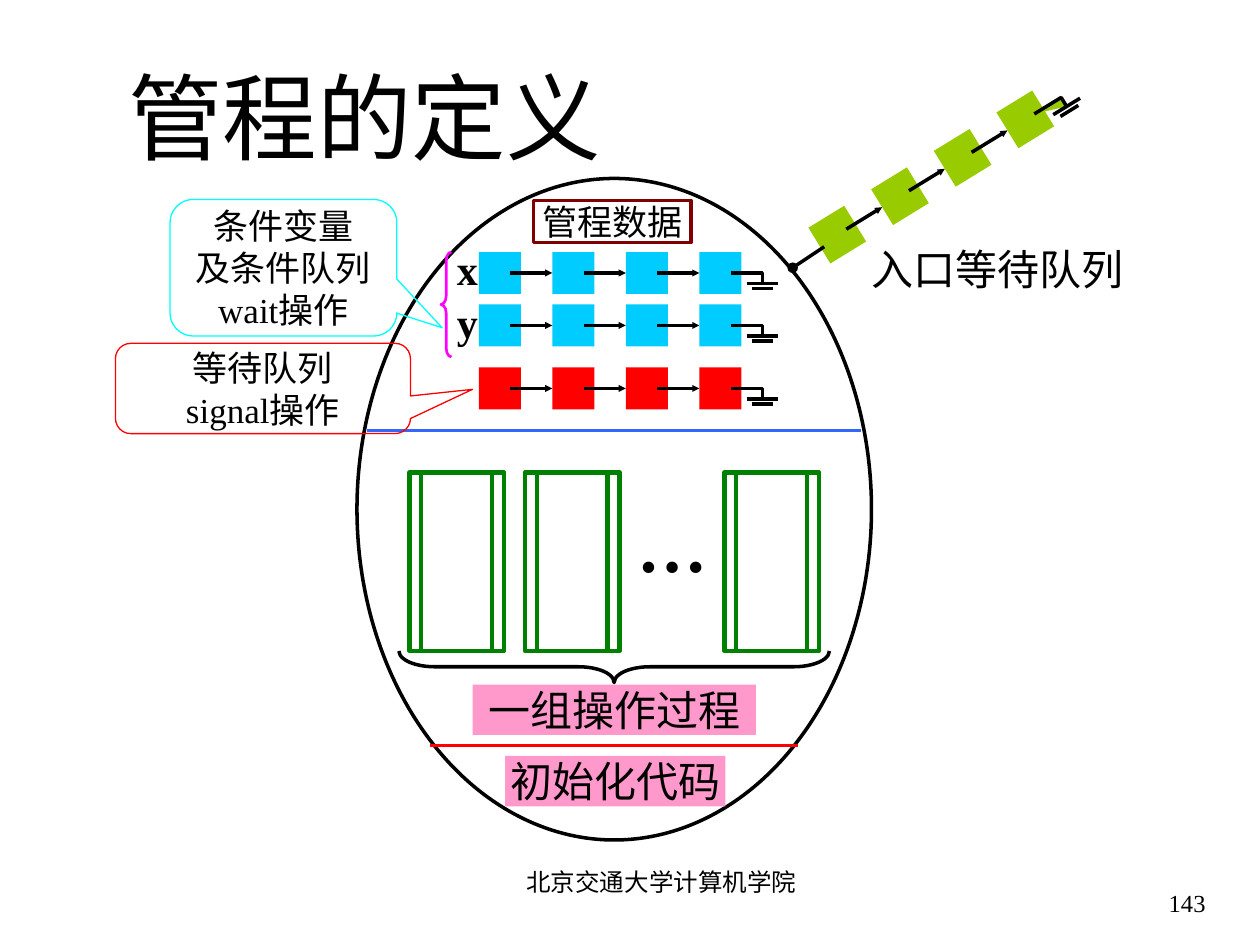
from math import cos, radians, sin

from lxml import etree
from pptx import Presentation
from pptx.dml.color import RGBColor
from pptx.enum.shapes import MSO_CONNECTOR, MSO_SHAPE
from pptx.enum.text import MSO_ANCHOR, PP_ALIGN
from pptx.oxml.ns import qn
from pptx.util import Inches, Pt

# Grid: 120 columns by 90 rows on a 10 x 7.5 inch slide
UNIT = Inches(10) / 120

BLACK = RGBColor(0x00, 0x00, 0x00)
RED = RGBColor(0xFF, 0x00, 0x00)
BLUE = RGBColor(0x33, 0x66, 0xFF)
SKY = RGBColor(0x00, 0xCC, 0xFF)
CYAN = RGBColor(0x00, 0xFF, 0xFF)
GREEN = RGBColor(0x00, 0x80, 0x00)
LIME = RGBColor(0x99, 0xCC, 0x00)
PINK = RGBColor(0xFF, 0x99, 0xCC)
MAGENTA = RGBColor(0xFF, 0x00, 0xFF)
MAROON = RGBColor(0x80, 0x00, 0x00)

RECTANGLE = MSO_SHAPE.RECTANGLE
ELLIPSE = MSO_SHAPE.OVAL
PROCESS = MSO_SHAPE.FLOWCHART_PREDEFINED_PROCESS
BRACE = MSO_SHAPE.LEFT_BRACE
CALLOUT = MSO_SHAPE.ROUNDED_RECTANGULAR_CALLOUT
STRAIGHT = MSO_CONNECTOR.STRAIGHT
LEFT, CENTER, RIGHT = PP_ALIGN.LEFT, PP_ALIGN.CENTER, PP_ALIGN.RIGHT
TOP, MIDDLE, BOTTOM = MSO_ANCHOR.TOP, MSO_ANCHOR.MIDDLE, MSO_ANCHOR.BOTTOM

BODY_FONT = "Times New Roman"
TITLE_FONT = "Noto Sans CJK SC"
LEFT_SIDE = 1
NODES, NODE_SIZE, NODE_STEP = 4, 4, 7


def grid(*values):
    return [round(value * UNIT) for value in values]


def write(shape, lines, size, align=CENTER, anchor=MIDDLE, bold=False,
          font=BODY_FONT, margins=(0.02, 0)):
    frame = shape.text_frame
    frame.word_wrap = True
    frame.vertical_anchor = anchor
    frame.margin_left = frame.margin_right = Inches(margins[0])
    frame.margin_top = frame.margin_bottom = Inches(margins[1])
    for index, line in enumerate(lines):
        paragraph = frame.add_paragraph() if index else frame.paragraphs[0]
        paragraph.text = line
        paragraph.alignment = align
        paragraph.font.name = font
        paragraph.font.size = Pt(size)
        paragraph.font.bold = bold
        paragraph.font.color.rgb = BLACK


def add_text(slide, box, text, size, **style):
    write(slide.shapes.add_textbox(*grid(*box)), [text], size, **style)


def paint(shape, fill=None, line=None, width=2):
    shape.shadow.inherit = False
    if fill is None:
        shape.fill.background()
    else:
        shape.fill.solid()
        shape.fill.fore_color.rgb = fill
    if line is None:
        shape.line.fill.background()
    else:
        shape.line.color.rgb = line
        shape.line.width = Pt(width)


def add_shape(slide, kind, box, adjustments=(), rotation=0, **colours):
    shape = slide.shapes.add_shape(kind, *grid(*box))
    for index, value in enumerate(adjustments):
        shape.adjustments[index] = value
    shape.rotation = rotation
    paint(shape, **colours)
    return shape


def add_line(slide, start, end, colour=BLACK, ending=None):
    """Draw a line; ending is (tag, type, size) of an end mark."""
    line = slide.shapes.add_connector(STRAIGHT, *grid(*start, *end))
    line.line.color.rgb = colour
    line.line.width = Pt(2)
    properties = line._element.spPr
    if ending:
        tag, mark, size = ending
        etree.SubElement(properties.find(qn("a:ln")), qn(tag),
                         type=mark, w=size, len=size)
    etree.SubElement(properties, qn("a:effectLst"))
    return line


def add_queue(slide, center, colour, angle=0, ground_fill=None):
    """Draw linked nodes and a ground sign, turned about the first node."""
    cosine, sine = cos(radians(angle)), sin(radians(angle))

    def place(along, across=0):
        return (center[0] + along * cosine - across * sine,
                center[1] + along * sine + across * cosine)

    nodes = []
    for index in range(NODES):
        x, y = place(index * NODE_STEP)
        box = (x - NODE_SIZE / 2, y - NODE_SIZE / 2, NODE_SIZE, NODE_SIZE)
        nodes.append(add_shape(slide, RECTANGLE, box, rotation=angle, fill=colour))
    for index, target in enumerate(nodes[1:]):
        start = index * NODE_STEP
        arrow = add_line(slide, place(start + 1), place(start + 5),
                         ending=("a:tailEnd", "triangle", "sm"))
        if not angle:
            arrow.end_connect(target, LEFT_SIDE)

    # Ground sign after the last node
    last = (NODES - 1) * NODE_STEP
    lead = [grid(*place(last + along, across))
            for along, across in ((1, 0), (4, 0), (4, 1))]
    builder = slide.shapes.build_freeform(*lead[0])
    builder.add_line_segments(lead[1:], close=False)
    paint(builder.convert_to_shape(), fill=ground_fill, line=BLACK)
    for first, second, across in ((2.5, 5.5, 1), (3, 5, 1.5)):
        add_line(slide, place(last + first, across), place(last + second, across))


def add_monitor(slide):
    add_shape(slide, ELLIPSE, (34, 17, 49, 63), line=BLACK)
    add_line(slide, (41, 71), (76, 71), RED)
    add_line(slide, (35, 41), (82, 41), BLUE)

    # Procedures and initialisation
    for column in (39, 50, 69):
        add_shape(slide, PROCESS, (column, 45, 9, 17), line=GREEN, width=2.5)
    add_text(slide, (60, 47.9, 8, 8), "…", 40, bold=True)
    add_shape(slide, BRACE, (57, 43, 3, 41), (1.13, 0.5), 270, line=BLACK)
    for box, label in (((45, 65.2, 27, 4.8), "一组操作过程"),
                       ((48.1, 72, 21, 4.8), "初始化代码")):
        write(add_shape(slide, RECTANGLE, box, fill=PINK), [label], 24)

    # Shared data and condition variables
    data = add_shape(slide, RECTANGLE, (50.8, 19.1, 15, 4), line=MAROON)
    write(data, ["管程数据"], 20)
    for name, row in (("x", 23.2), ("y", 28.2)):
        add_text(slide, (43, row, 3, 4.8), name, 24, bold=True)
    add_shape(slide, BRACE, (42, 24, 1, 10), (0.83, 0.5), line=MAGENTA, width=1.5)


def add_queues(slide):
    for row, colour in ((26, SKY), (31, SKY), (37, RED)):
        add_queue(slide, (47.6, row), colour)

    # Entry queue
    add_queue(slide, (79.75, 22.35), LIME, angle=-31.5, ground_fill=LIME)
    add_line(slide, (75.5, 25.5), (78.5, 23.5), ending=("a:headEnd", "oval", "med"))
    add_text(slide, (82, 23.2, 26, 4.8), "入口等待队列", 24)


def add_callouts(slide):
    callouts = (
        ((16.2, 19, 21.6, 13), (0.7, 0.44, 0.17), CYAN,
         ["条件变量", "及条件队列", "wait操作"]),
        ((11, 32.7, 28.1, 8.6), (0.71, 0.01, 0.17), RED,
         ["等待队列", "signal操作"]),
    )
    for box, adjustments, colour, lines in callouts:
        callout = add_shape(slide, CALLOUT, box, adjustments, line=colour, width=0.75)
        write(callout, lines, 20)


def main():
    presentation = Presentation()
    presentation.slide_width, presentation.slide_height = grid(120, 90)
    slide = presentation.slides.add_slide(presentation.slide_layouts[6])

    # Title and footer
    add_text(slide, (12, 7, 83, 8), "管程的定义", 54, align=LEFT,
             font=TITLE_FONT, margins=(0.02, 0.01))
    add_text(slide, (44, 82, 38, 6), "北京交通大学计算机学院", 14,
             anchor=TOP, margins=(0.1, 0.05))
    add_text(slide, (104, 82, 12, 6), "143", 14, align=RIGHT,
             anchor=BOTTOM, margins=(0.1, 0.05))

    # Diagram
    add_monitor(slide)
    add_queues(slide)
    add_callouts(slide)
    presentation.save("out.pptx")


if __name__ == "__main__":
    main()
